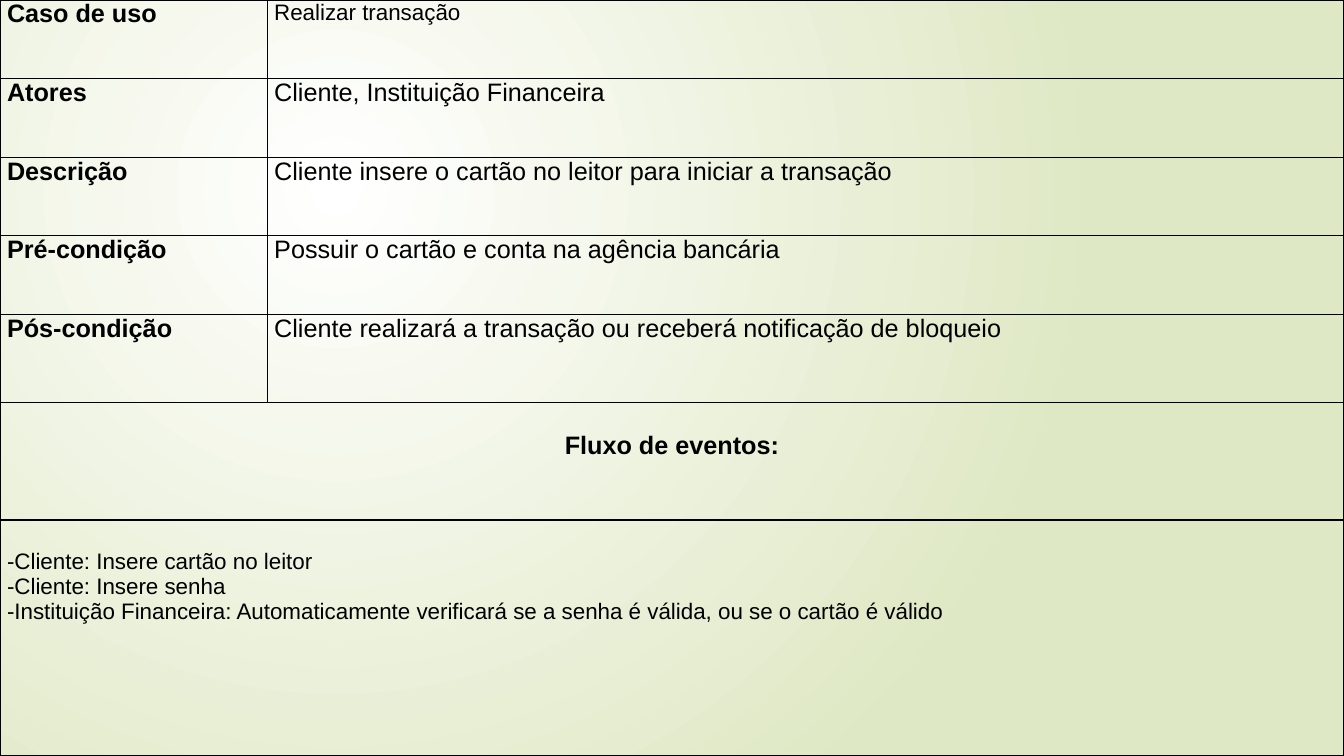
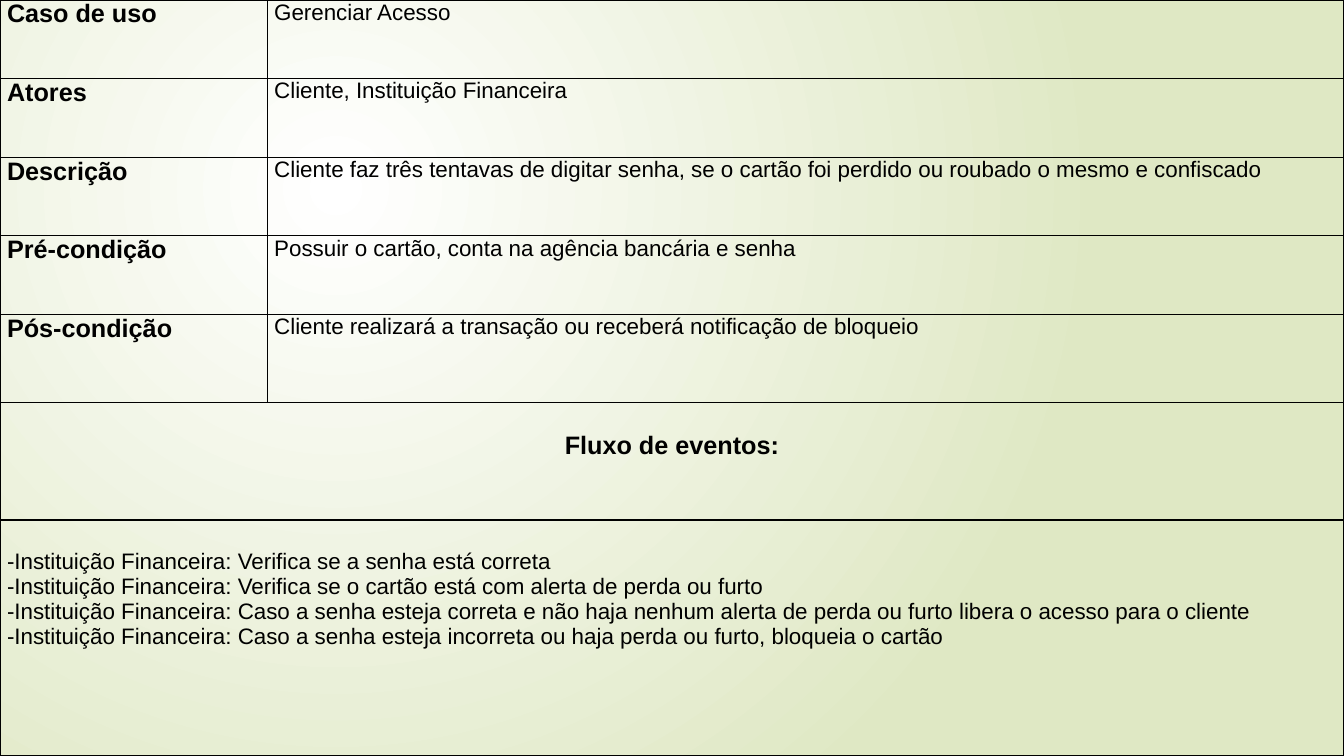
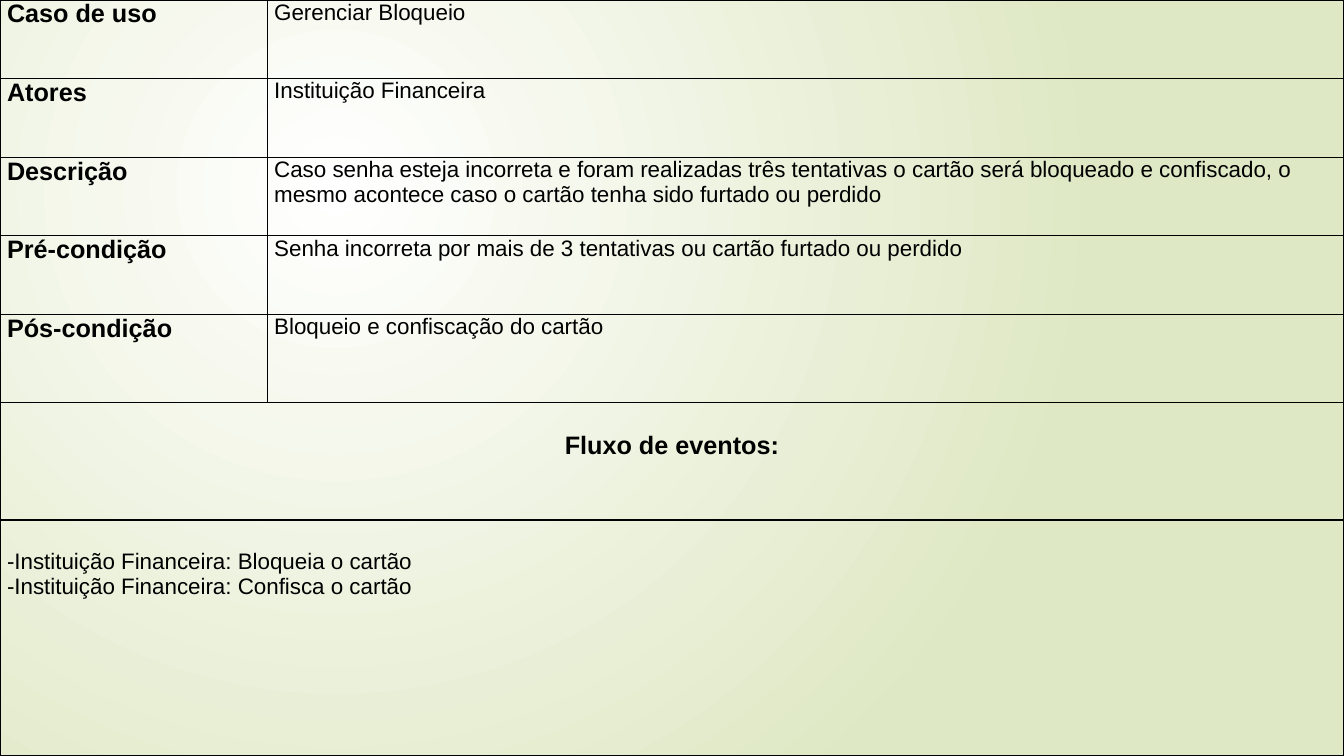
from pptx import Presentation
from pptx.dml.color import RGBColor
from pptx.enum.text import PP_ALIGN as Align
from pptx.oxml import parse_xml
from pptx.oxml.ns import nsdecls, qn
from pptx.util import Inches, Pt

# Content
LABELS = ["Caso de uso", "Atores", "Descrição", "Pré-condição", "Pós-condição"]
FLOW_TITLE = "Fluxo de eventos:"
USE_CASES = [
    {
        "values": [
            "Realizar transação",
            "Cliente, Instituição Financeira",
            "Cliente insere o cartão no leitor para iniciar a transação",
            "Possuir o cartão e conta na agência bancária",
            "Cliente realizará a transação ou receberá notificação de bloqueio",
        ],
        "sizes": [16, 18, 18, 18, 18],
        "flow": [
            "-Cliente: Insere cartão no leitor",
            "-Cliente: Insere senha",
            "-Instituição Financeira: Automaticamente verificará se a senha é válida, "
            "ou se o cartão é válido",
        ],
    },
    {
        "values": [
            "Gerenciar Acesso",
            "Cliente, Instituição Financeira",
            "Cliente faz três tentavas de digitar senha, se o cartão foi perdido ou roubado "
            "o mesmo e confiscado",
            "Possuir o cartão, conta na agência bancária e senha",
            "Cliente realizará a transação ou receberá notificação de bloqueio",
        ],
        "sizes": [16] * 5,
        "flow": [
            "-Instituição Financeira: Verifica se a senha está correta",
            "-Instituição Financeira: Verifica se o cartão está com alerta de perda ou furto",
            "-Instituição Financeira: Caso a senha esteja correta e não haja nenhum alerta "
            "de perda ou furto libera o acesso para o cliente",
            "-Instituição Financeira: Caso a senha esteja incorreta ou haja perda ou furto, "
            "bloqueia o cartão",
        ],
    },
    {
        "values": [
            "Gerenciar Bloqueio",
            "Instituição Financeira",
            "Caso senha esteja incorreta e foram realizadas três tentativas o cartão será "
            "bloqueado e confiscado, o mesmo acontece caso o cartão tenha sido furtado ou perdido",
            "Senha incorreta por mais de 3 tentativas ou cartão furtado ou perdido",
            "Bloqueio e confiscação do cartão",
        ],
        "sizes": [16] * 5,
        "flow": [
            "-Instituição Financeira: Bloqueia o cartão",
            "-Instituição Financeira: Confisca o cartão",
        ],
    },
]

# Shared style
FONT, INK = "Arial", "000000"
GLOW, EDGE = "FFFFFF", "DFE8C4"
LABEL_SIZE, FLOW_SIZE = 18, 16
WIDTH, HEIGHT = 13.33, 7.5
COLUMNS = [2.65, 10.68]
ROWS = [0.78] * 4 + [0.87, 1.17, 2.34]
SIDE_MARGIN, FLOW_TOP = 0.07, 0.29


def color(hex_code):
    return RGBColor.from_string(hex_code)


def paint_background(master):
    """Radial glow centred a quarter of the way across and down."""
    fill = master.background.fill
    fill.gradient()
    for stop, position, shade in zip(fill.gradient_stops, (0, 1), (GLOW, EDGE)):
        stop.position = position
        stop.color.rgb = color(shade)
    gradient = master.element.find(".//" + qn("a:gradFill"))
    gradient.replace(gradient.find(qn("a:lin")), parse_xml(
        f'<a:path {nsdecls("a")} path="circle">'
        '<a:fillToRect l="50000" t="50000" r="100000" b="100000"/></a:path>'))


def style_cell(cell):
    cell.margin_left = cell.margin_right = Inches(SIDE_MARGIN)
    cell.margin_top = cell.margin_bottom = 0
    cell.fill.background()
    properties = cell._tc.get_or_add_tcPr()
    for index, side in enumerate(("lnL", "lnR", "lnT", "lnB")):
        properties.insert(index, parse_xml(
            f'<a:{side} {nsdecls("a")} w="{Pt(1)}"><a:solidFill>'
            f'<a:srgbClr val="{INK}"/></a:solidFill></a:{side}>'))


def write(cell, lines, size, bold=False, align=Align.LEFT):
    frame = cell.text_frame
    for index, line in enumerate(lines):
        para = frame.add_paragraph() if index else frame.paragraphs[0]
        para.alignment = align
        span = para.add_run()
        span.text = line
        span.font.name, span.font.size, span.font.bold = FONT, Pt(size), bold
        span.font.color.rgb = color(INK)


def add_use_case(page, case):
    table = page.shapes.add_table(len(ROWS), len(COLUMNS), 0, 0,
                                  Inches(WIDTH), Inches(HEIGHT)).table
    table.first_row = table.horz_banding = False
    for column, width in zip(table.columns, COLUMNS):
        column.width = Inches(width)
    for row, height in zip(table.rows, ROWS):
        row.height = Inches(height)
    for cell in table.iter_cells():
        style_cell(cell)

    # Labelled rows
    for row, (label, value, size) in enumerate(zip(LABELS, case["values"], case["sizes"])):
        write(table.cell(row, 0), [label], LABEL_SIZE, bold=True)
        write(table.cell(row, 1), [value], size)

    # Full-width event flow
    heading_row = len(LABELS)
    heading, events = (table.cell(row, 0) for row in (heading_row, heading_row + 1))
    for row, cell in enumerate((heading, events), heading_row):
        cell.merge(table.cell(row, 1))
        cell.margin_top = Inches(FLOW_TOP)
    write(heading, [FLOW_TITLE], LABEL_SIZE, bold=True, align=Align.CENTER)
    write(events, case["flow"], FLOW_SIZE)


deck = Presentation()
deck.slide_width, deck.slide_height = Inches(WIDTH), Inches(HEIGHT)
paint_background(deck.slide_master)
blank_layout = deck.slide_layouts.get_by_name("Blank")
for use_case in USE_CASES:
    add_use_case(deck.slides.add_slide(blank_layout), use_case)
deck.save("out.pptx")
